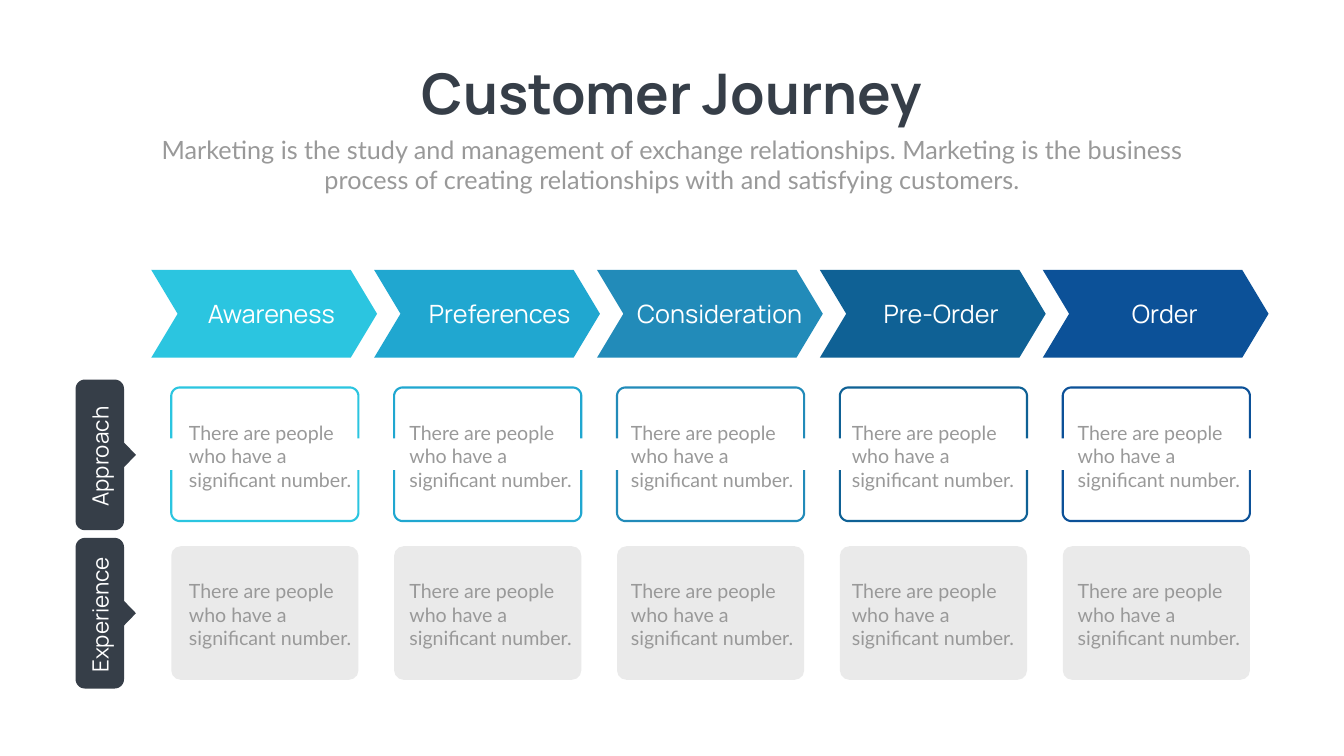
import math
from dataclasses import dataclass

import pptx
import pptx.dml.color
import pptx.enum.shapes
import pptx.enum.text
import pptx.util

Cm = pptx.util.Cm
SHAPE = pptx.enum.shapes.MSO_SHAPE
ALIGN = pptx.enum.text.PP_ALIGN


@dataclass(frozen=True)
class Theme:
    """Colours, fonts and type sizes of the slide."""
    dark: str = "363E48"
    grey: str = "999999"
    panel: str = "EAEAEA"
    white: str = "FFFFFF"
    display: str = "Manrope"
    body: str = "Lato"
    title_size: int = 80
    lead_size: int = 36
    tag_size: int = 32
    note_size: int = 28
    line_width: int = 3


@dataclass(frozen=True)
class Box:
    """A rectangle in centimetres."""
    x: float
    y: float
    w: float
    h: float

    def inner(self, dx, dy, w, h):
        """Return a box placed relative to this one."""
        return Box(self.x + dx, self.y + dy, w, h)

    def emu(self):
        """Return left, top, width and height as lengths."""
        return Cm(self.x), Cm(self.y), Cm(self.w), Cm(self.h)


@dataclass(frozen=True)
class Stage:
    """One step of the journey, with the left offsets of its texts."""
    name: str
    color: str
    name_dx: float
    note_dx: float


THEME = Theme()
NOTE = "There are people who have a significant number."
LEAD = ("Marketing is the study and management of exchange relationships. "
        "Marketing is the business process of creating relationships with "
        "and satisfying customers.")
STAGES = [
    Stage("Awareness", "2BC5E0", 1.0, 1.65),
    Stage("Preferences", "20A7D0", 1.27, 1.53),
    Stage("Consideration", "228BB9", 1.13, 1.46),
    Stage("Pre-Order", "0F6195", 1.06, 1.36),
    Stage("Order", "0C5198", 1.1, 1.51),
]
STAGE_LEFT, STAGE_TOP, STAGE_PITCH = 7.62, 13.6, 11.23
ROWS = [("Approach", 19.13), ("Experience", 27.11)]


def rgb(color):
    """Turn a hex string into a colour."""
    return pptx.dml.color.RGBColor.from_string(color)


def add_text(s, box, text, *, size, font, color, bold=False, align=ALIGN.LEFT, rotation=0):
    """Add a wrapped text box holding one formatted paragraph."""
    sp = s.shapes.add_textbox(*box.emu())
    sp.rotation = rotation
    tf = sp.text_frame
    tf.word_wrap = True
    p = tf.paragraphs[0]
    p.alignment = align
    r = p.add_run()
    r.text = text
    r.font.size, r.font.name, r.font.bold = pptx.util.Pt(size), font, bold
    r.font.color.rgb = rgb(color)


def paint(sp, fill=None, line=None):
    """Give a shape a plain fill or a plain outline."""
    sp.shadow.inherit = False
    if fill:
        sp.fill.solid()
        sp.fill.fore_color.rgb = rgb(fill)
    else:
        sp.fill.background()
    if line:
        sp.line.color.rgb = rgb(line)
        sp.line.width = pptx.util.Pt(THEME.line_width)
    else:
        sp.line.fill.background()


def add_preset(s, kind, box, adjustment, fill):
    """Add a filled preset shape with one adjustment."""
    sp = s.shapes.add_shape(kind, *box.emu())
    sp.adjustments[0] = adjustment
    paint(sp, fill=fill)


def add_outline(s, box, points, closed, **style):
    """Add a freeform through points given relative to the box."""
    spots = [(Cm(box.x + x), Cm(box.y + y)) for x, y in points]
    fb = s.shapes.build_freeform(*spots[0], scale=1.0)
    fb.add_line_segments(spots[1:], close=closed)
    paint(fb.convert_to_shape(), **style)


def corner(cx, cy, radius, start):
    """Return points of a clockwise quarter circle from an angle in degrees."""
    angles = [math.radians(start + 7.5 * i) for i in range(13)]
    return [(cx + radius * math.cos(a), cy + radius * math.sin(a)) for a in angles]


def add_header(s, box):
    """Add the title and the lead below it."""
    add_text(s, box.inner(12.52, 0, 27.84, 3.68), "Customer Journey", size=THEME.title_size,
             font=THEME.display, color=THEME.dark, bold=True, align=ALIGN.CENTER)
    add_text(s, box.inner(0, 3.79, box.w, 3.33), LEAD, size=THEME.lead_size,
             font=THEME.body, color=THEME.grey, align=ALIGN.CENTER)


def add_tag(s, box, text):
    """Add a dark row tag with a pointer and a vertical label."""
    radius, body, mid, half = 0.47, 2.44, box.h / 2, 0.62
    points = [(box.w, mid), (body, mid + half)]
    points += corner(body - radius, box.h - radius, radius, 0)
    points += corner(radius, box.h - radius, radius, 90)
    points += corner(radius, radius, radius, 180)
    points += corner(body - radius, radius, radius, 270)
    points.append((body, mid - half))
    add_outline(s, box, points, True, fill=THEME.dark)
    w, h = 9.07, 1.63
    add_text(s, box.inner(1.23 - w / 2, 3.88 - h / 2, w, h), text, size=THEME.tag_size,
             font=THEME.display, color=THEME.white, align=ALIGN.CENTER, rotation=270)


def add_frame(s, box, color):
    """Add an outlined card open at the middle of both sides."""
    radius, side = 0.43, 2.57
    top = [(0, side)] + corner(radius, radius, radius, 180)
    top += corner(box.w - radius, radius, radius, 270) + [(box.w, side)]
    bottom = [(x, box.h - y) for x, y in top]
    for points in (top, bottom):
        add_outline(s, box, points, False, line=color)


def add_stage(s, box, stage):
    """Add the arrow of a stage with its two cards below."""
    add_preset(s, SHAPE.CHEVRON, box, 0.3, stage.color)
    add_text(s, box.inner(stage.name_dx, 1.29, 10.11, 1.8), stage.name, size=THEME.lead_size,
             font=THEME.display, color=THEME.white, align=ALIGN.CENTER)
    frame, panel = (box.inner(1.01, dy, 9.43, 6.73) for dy in (5.93, 13.93))
    add_frame(s, frame, stage.color)
    add_preset(s, SHAPE.ROUNDED_RECTANGLE, panel, 0.07, THEME.panel)
    for card in (frame, panel):
        add_text(s, card.inner(stage.note_dx - 1.01, 1.54, 8.71, 3.68), NOTE,
                 size=THEME.note_size, font=THEME.body, color=THEME.grey)


def main():
    """Build the slide and save it."""
    prs = pptx.Presentation()
    prs.slide_width, prs.slide_height = Cm(67.72), Cm(38.1)
    s = prs.slides.add_slide(prs.slide_layouts[6])
    add_header(s, Box(7.42, 2.84, 52.88, 7.12))
    for text, top in ROWS:
        add_tag(s, Box(3.81, top, 3.04, 7.59), text)
    for i, stage in enumerate(STAGES):
        add_stage(s, Box(STAGE_LEFT + i * STAGE_PITCH, STAGE_TOP, 11.38, 4.43), stage)
    prs.save("out.pptx")


if __name__ == "__main__":
    main()
